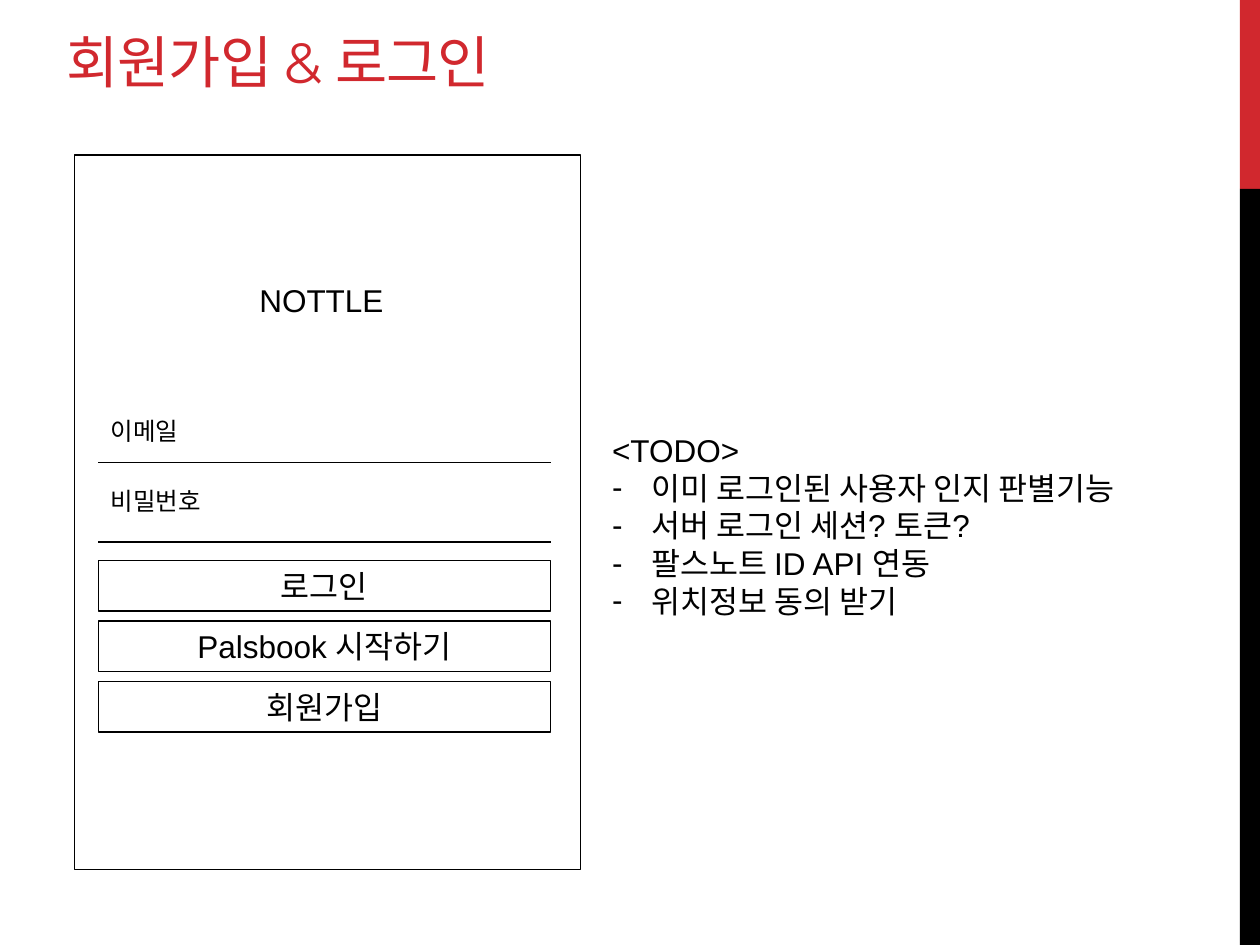
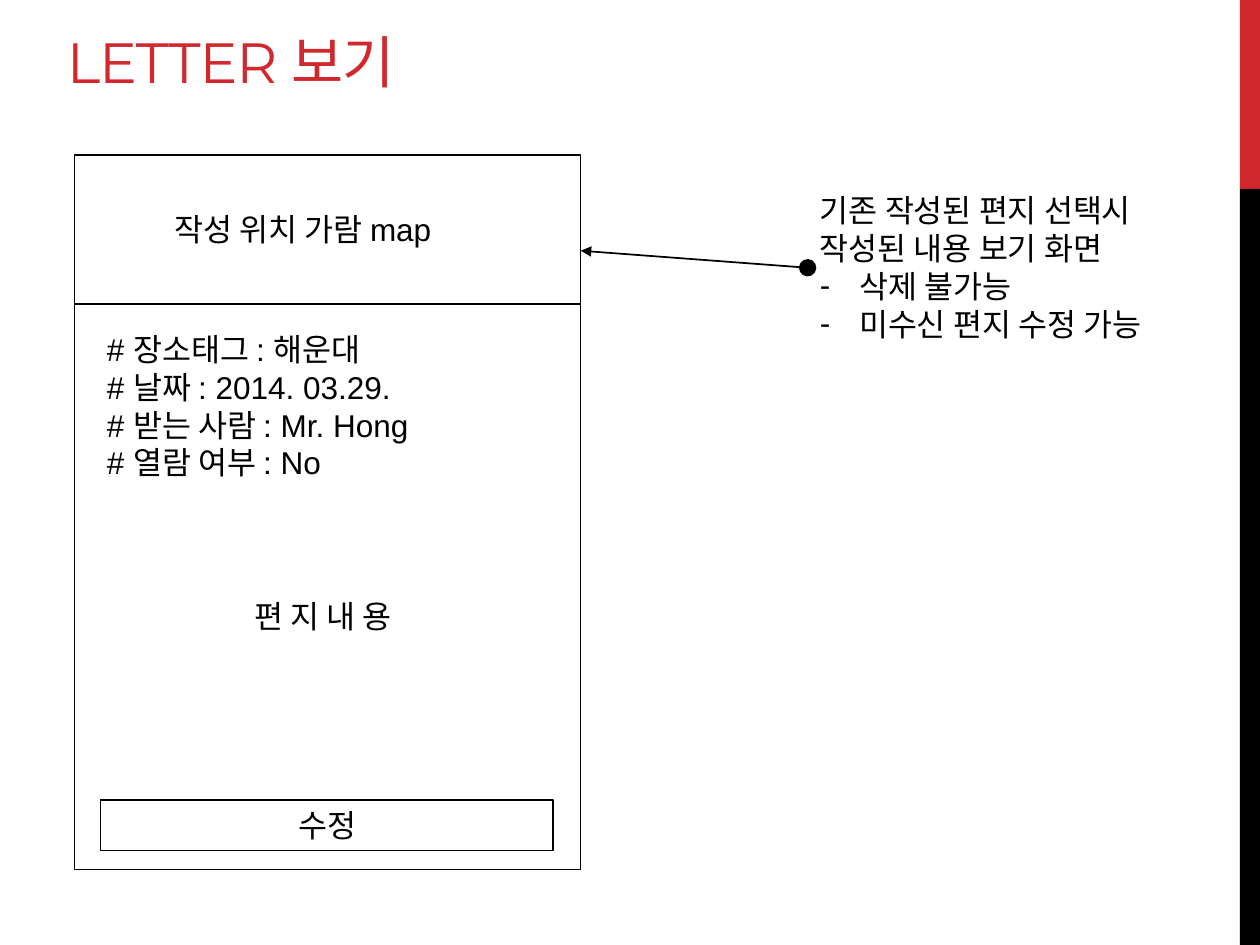
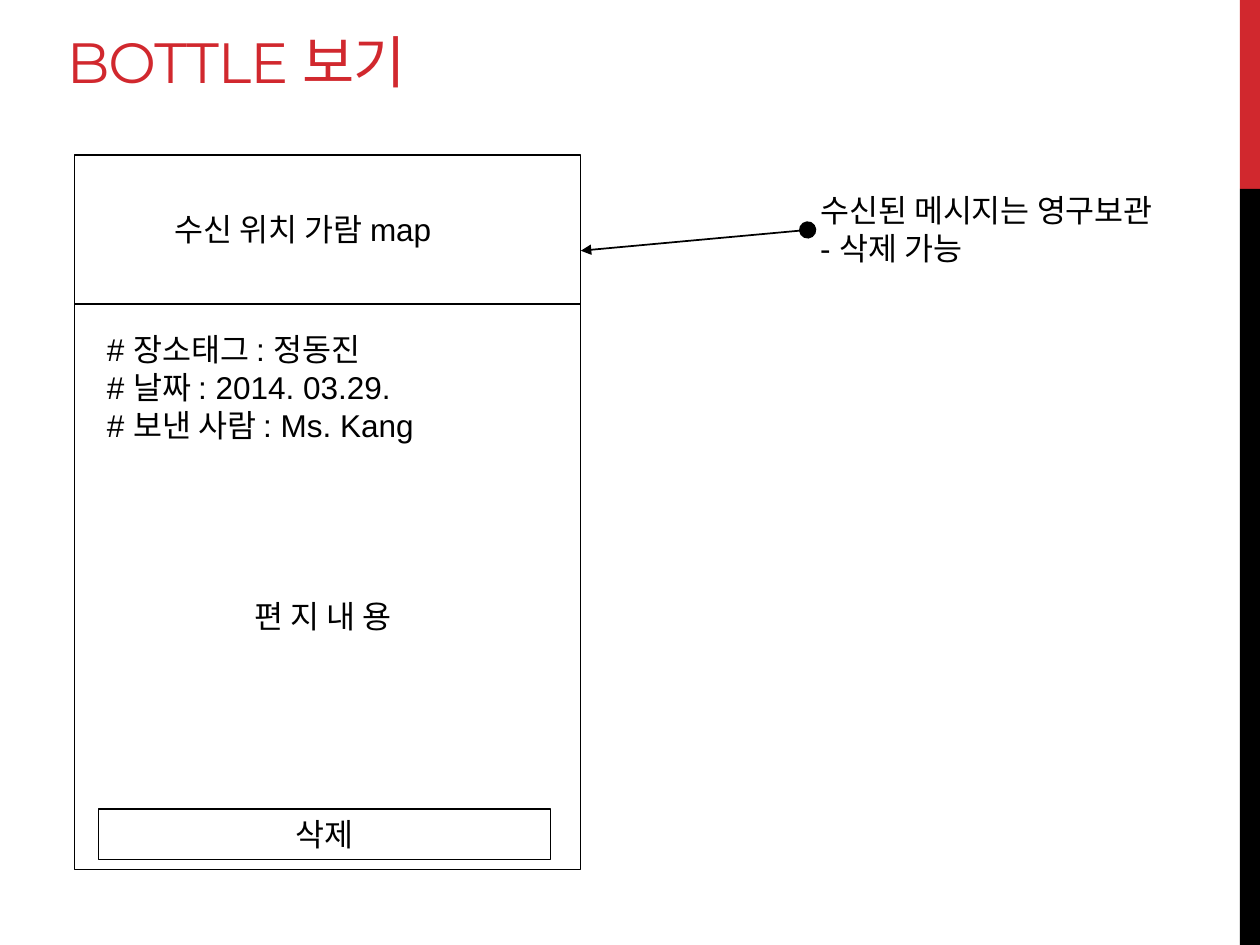
from pptx import Presentation
from pptx.dml.color import RGBColor
from pptx.enum.shapes import MSO_CONNECTOR, MSO_SHAPE
from pptx.enum.text import MSO_ANCHOR, MSO_AUTO_SIZE, PP_ALIGN
from pptx.oxml.ns import qn
from pptx.util import Inches, Pt
from lxml.etree import SubElement

RED = RGBColor(0xD1, 0x28, 0x2E)
BLACK = RGBColor(0, 0, 0)
WHITE = RGBColor(255, 255, 255)

BODY_FONT = "Arial"
TITLE_FONT = "Montserrat"
BULLET = "• "
PANEL_LEFT, PANEL_TOP, PANEL_WIDTH, PANEL_HEIGHT = 0.59, 1.23, 4.02, 5.67
PANEL_RIGHT = PANEL_LEFT + PANEL_WIDTH
FIELD_LEFT, FIELD_WIDTH, BUTTON_HEIGHT = 0.78, 3.59, 0.4
NOTE_LEFT, NOTE_TOP = 6.41, 1.47
MAP_BOTTOM, MAP_ARROW_Y = 2.41, 1.99


def apply_format(target, values):
    """Set every attribute named in a dict of format values."""
    for name, value in values.items():
        setattr(target, name, value)


def format_font(font, name=BODY_FONT, size=18, color=BLACK):
    """Give a font its face, size and colour."""
    apply_format(font, {"name": name, "size": Pt(size)})
    font.color.rgb = color


def add_dash(paragraph):
    """Turn a paragraph into a dash item with a hanging indent."""
    properties = paragraph._p.get_or_add_pPr()
    properties.set("marL", str(Inches(0.31)))
    properties.set("indent", str(-Inches(0.31)))
    SubElement(properties, qn("a:buFont"), typeface=BODY_FONT)
    SubElement(properties, qn("a:buChar"), char="-")


def fill_text(frame, lines, size=18, alignment=PP_ALIGN.LEFT):
    """Write lines into a text frame, with dashes where they are marked."""
    for index, line in enumerate(lines):
        paragraph = frame.paragraphs[0] if index == 0 else frame.add_paragraph()
        paragraph.alignment = alignment
        if line.startswith(BULLET):
            add_dash(paragraph)
        run = paragraph.add_run()
        run.text = line.removeprefix(BULLET)
        format_font(run.font, size=size)


def add_text(slide, box, lines, size=18, wrap=False):
    """Add a text box."""
    shape = slide.shapes.add_textbox(*map(Inches, box))
    apply_format(shape.text_frame, {"word_wrap": wrap, "auto_size": MSO_AUTO_SIZE.SHAPE_TO_FIT_TEXT})
    fill_text(shape.text_frame, lines, size)


def add_rectangle(slide, box, fill=None, line=None):
    """Add a rectangle with an optional fill and outline."""
    shape = slide.shapes.add_shape(MSO_SHAPE.RECTANGLE, *map(Inches, box))
    shape.shadow.inherit = False
    if fill is None:
        shape.fill.background()
    else:
        shape.fill.solid()
        shape.fill.fore_color.rgb = fill
    if line is None:
        shape.line.fill.background()
    else:
        shape.line.color.rgb = line
        shape.line.width = Pt(0.75)
    return shape


def add_button(slide, top, label, left=FIELD_LEFT):
    """Add an outlined button with a centred label."""
    shape = add_rectangle(slide, (left, top, FIELD_WIDTH, BUTTON_HEIGHT), line=BLACK)
    apply_format(shape.text_frame, {"word_wrap": True, "vertical_anchor": MSO_ANCHOR.TOP})
    fill_text(shape.text_frame, [label], alignment=PP_ALIGN.CENTER)


def add_line(slide, start, end, arrow=False):
    """Add a straight line, or an arrow that starts with a dot."""
    connector = slide.shapes.add_connector(MSO_CONNECTOR.STRAIGHT, *map(Inches, start + end))
    connector.line.color.rgb = BLACK
    connector.line.width = Pt(1)
    if arrow:
        outline = connector.line._get_or_add_ln()
        SubElement(outline, qn("a:headEnd"), type="oval", w="lg", len="lg")
        SubElement(outline, qn("a:tailEnd"), type="triangle")
    SubElement(connector._element.spPr, qn("a:effectLst"))


def add_side_bands(slide):
    """Draw the side bands and move them to the layout that all slides share."""
    for top, height, color in ((0, 1.5, RED), (1.5, 6, BLACK)):
        band = add_rectangle(slide, (9.84, top, 0.16, height), fill=color)
        slide.slide_layout.element.cSld.spTree.append(band.element)


def add_screen(presentation, title):
    """Add a slide with its title and the empty phone panel."""
    slide = presentation.slides.add_slide(presentation.slide_layouts[5])
    shape = slide.shapes.title
    apply_format(shape, {"left": Inches(0.43), "top": Inches(0.13),
                         "width": Inches(6.33), "height": Inches(0.67)})
    apply_format(shape.text_frame, {"vertical_anchor": MSO_ANCHOR.BOTTOM, "word_wrap": True,
                                    "auto_size": MSO_AUTO_SIZE.NONE})
    paragraph = shape.text_frame.paragraphs[0]
    paragraph.alignment = PP_ALIGN.LEFT
    run = paragraph.add_run()
    run.text = title
    format_font(run.font, TITLE_FONT, 32.4, RED)
    run.font._element.set("spc", "-60")
    add_rectangle(slide, (PANEL_LEFT, PANEL_TOP, PANEL_WIDTH, PANEL_HEIGHT), WHITE, BLACK)
    return slide


def add_login_screen(presentation):
    """Build the sign-up and login slide."""
    slide = add_screen(presentation, "회원가입 & 로그인")
    add_side_bands(slide)
    add_text(slide, (1.96, 2.18, 1.35, 0.4), ["NOTTLE"])
    for label, top, width, line_y in (("이메일", 3.25, 0.79, 3.67), ("비밀번호", 3.81, 0.99, 4.3)):
        add_text(slide, (FIELD_LEFT, top, width, 0.34), [label], size=14)
        add_line(slide, (FIELD_LEFT, line_y), (FIELD_LEFT + FIELD_WIDTH, line_y))
    for index, label in enumerate(("로그인", "Palsbook 시작하기", "회원가입")):
        add_button(slide, 4.45 + index * 0.48, label)
    add_text(slide, (4.76, 3.37, 4.96, 1.62), [
        "<TODO>",
        BULLET + "이미 로그인된 사용자 인지 판별기능",
        BULLET + "서버 로그인 세션? 토큰?",
        BULLET + "팔스노트 ID API 연동",
        BULLET + "위치정보 동의 받기",
    ], wrap=True)


def add_message_screen(presentation, title, place, details, note, note_size, button):
    """Build a slide that shows one message, its map and a note."""
    slide = add_screen(presentation, title)
    note_width, note_height = note_size
    add_text(slide, (NOTE_LEFT, NOTE_TOP, note_width, note_height), note)
    add_line(slide, (NOTE_LEFT, NOTE_TOP + note_height / 2), (PANEL_RIGHT, MAP_ARROW_Y), arrow=True)
    add_line(slide, (PANEL_LEFT, MAP_BOTTOM), (PANEL_RIGHT, MAP_BOTTOM))
    add_text(slide, (1.29, 1.62, 2.42, 0.4), [place])
    add_text(slide, (0.75, 2.57, 2.8, 0.1 + 0.3 * len(details)), details)
    add_text(slide, (1.92, 4.69, 1.42, 0.4), ["편 지 내 용"])
    label, left, top = button
    add_button(slide, top, label, left)


def main():
    """Build and save the presentation."""
    presentation = Presentation()
    apply_format(presentation, {"slide_width": Inches(10), "slide_height": Inches(7.5)})
    add_login_screen(presentation)
    add_message_screen(
        presentation, "LETTER 보기", "작성 위치 가람 map",
        ["# 장소태그 : 해운대", "# 날짜 : 2014. 03.29.", "# 받는 사람 : Mr. Hong", "# 열람 여부 : No"],
        ["기존 작성된 편지 선택시", "작성된 내용 보기 화면", BULLET + "삭제 불가능", BULLET + "미수신 편지 수정 가능"],
        (3, 1.31), ("수정", 0.8, 6.35))
    add_message_screen(
        presentation, "BOTTLE 보기", "수신 위치 가람 map",
        ["# 장소태그 : 정동진", "# 날짜 : 2014. 03.29.", "# 보낸 사람 : Ms. Kang"],
        ["수신된 메시지는 영구보관", "- 삭제 가능"],
        (3.12, 0.71), ("삭제", FIELD_LEFT, 6.42))
    presentation.save("out.pptx")


main()
